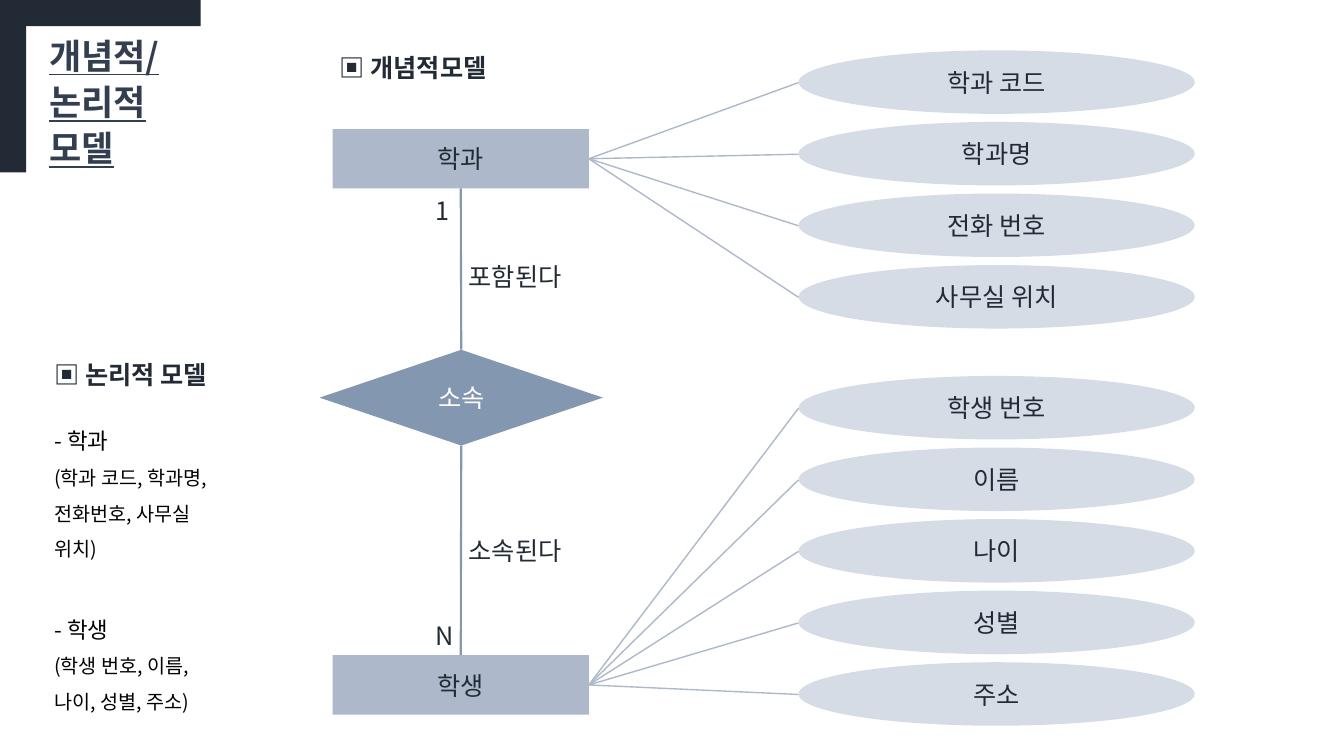
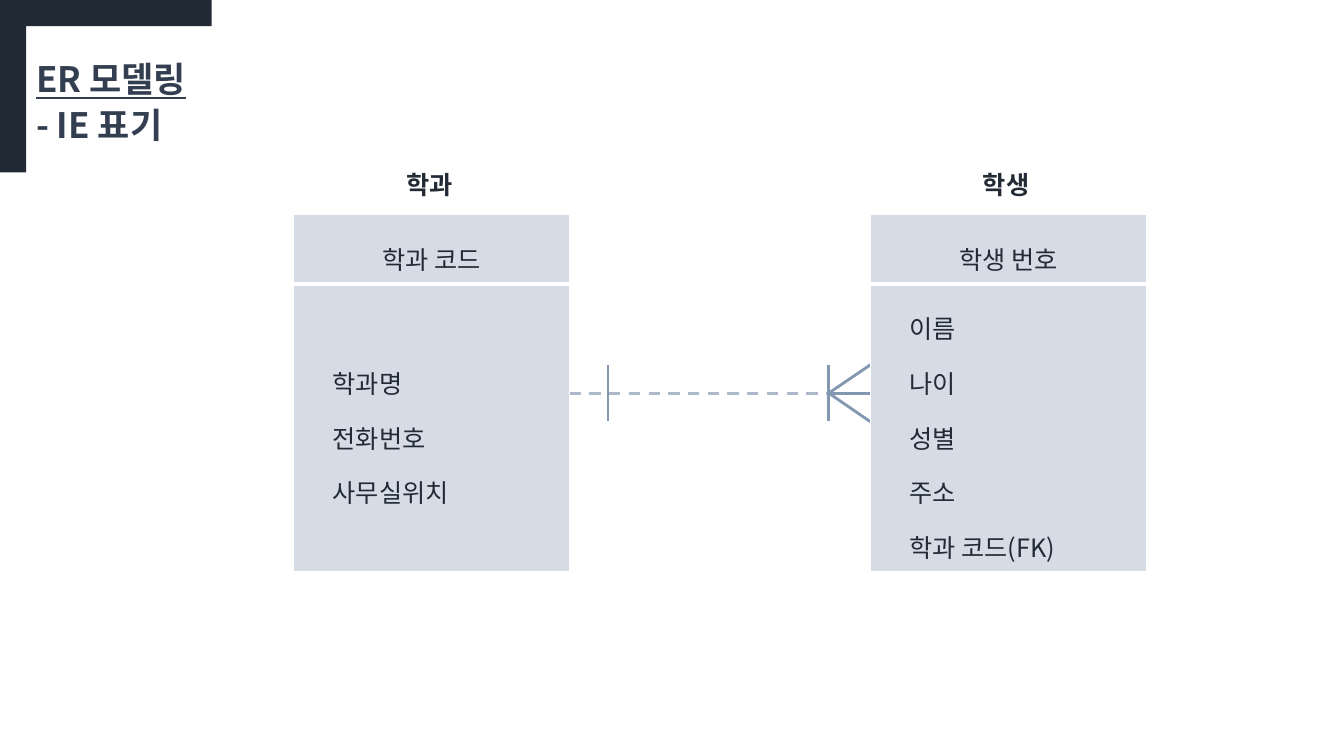
"""Build two slides on conceptual, logical and ER modelling of departments and students."""
from lxml.etree import SubElement
from pptx import Presentation
from pptx.dml.color import RGBColor
from pptx.enum.dml import MSO_LINE
from pptx.enum.shapes import MSO_CONNECTOR, MSO_SHAPE
from pptx.enum.text import MSO_ANCHOR, MSO_AUTO_SIZE, PP_ALIGN
from pptx.oxml import parse_xml
from pptx.oxml.ns import nsdecls, qn
from pptx.util import Inches, Pt

FONT = "Noto Sans CJK KR"
INK, TITLE_INK, BLACK, WHITE = "222A35", "333F50", "000000", "FFFFFF"
STEEL, MIST, PALE = "8497B0", "ADB9CA", "D6DCE5"

MODEL_TITLE = ["개념적/", "논리적", "모델"]
ER_TITLE = ["ER 모델링", ("- IE 표기", {"underline": False})]
HEADINGS = [("▣ 개념적모델", 3.27, 0.47, 1.81), ("▣ 논리적 모델", 0.44, 3.52, 1.9)]
ENTITIES = [
    ("학과", 1.28, 0.5, ["학과 코드", "학과명", "전화 번호", "사무실 위치"]),
    ("학생", 6.5, 3.73, ["학생 번호", "이름", "나이", "성별", "주소"]),
]
RELATION = "소속"
RELATION_LABELS = [
    ("포함된다", 4.55, 2.54, 1.21),
    ("소속된다", 4.55, 5.26, 1.21),
    ("1", 4.22, 1.89, 0.34),
    ("N", 4.22, 6.1, 0.39),
]
LOGICAL_MODEL = [
    ("- 학과", {"size": 16}),
    "(학과 코드, 학과명, 전화번호, 사무실 위치)",
    ("- 학생", {"size": 16, "before": 30}),
    "(학생 번호, 이름, 나이, 성별, 주소)",
]
ER_TABLES = [
    ("학과", 2.91, 3.93, "학과 코드", ["학과명", "전화번호", "사무실위치"]),
    ("학생", 8.63, 9.65, "학생 번호", ["이름", "나이", "성별", "주소", "학과 코드(FK)"]),
]
TABLE_TOP, TABLE_WIDTH, ROW_HEIGHTS = 2.13, 2.74, (0.69, 2.85)
LINK_Y, TICK_HALF = 3.9, 0.28
ONE_X, MANY_X = 6.03, 8.22
CROW_TOES = [(8.72, 3.56), (8.76, LINK_Y), (8.7, 4.23)]


def rgb(color):
    return RGBColor.from_string(color)


def write(frame, lines, size=18, color=INK, bold=False, underline=False,
          align=PP_ALIGN.LEFT, spacing=1.0, before=0):
    for index, line in enumerate(lines):
        text, changes = line if isinstance(line, tuple) else (line, {})
        style = {"size": size, "underline": underline, "before": before, **changes}
        paragraph = frame.paragraphs[0] if index == 0 else frame.add_paragraph()
        paragraph.alignment = align
        paragraph.line_spacing = spacing
        paragraph.space_before = Pt(style["before"])
        run = paragraph.add_run()
        run.text = text
        run.font.name = FONT
        run.font.size = Pt(style["size"])
        run.font.bold = bold
        run.font.underline = style["underline"]
        run.font.color.rgb = rgb(color)
        SubElement(run._r.get_or_add_rPr(), qn("a:ea"), typeface=FONT)


def add_text(slide, lines, left, top, width, height=0.4, wrap=False, grow=True,
             anchor=MSO_ANCHOR.TOP, **style):
    frame = slide.shapes.add_textbox(*map(Inches, (left, top, width, height))).text_frame
    frame.word_wrap = wrap
    frame.auto_size = MSO_AUTO_SIZE.SHAPE_TO_FIT_TEXT if grow else MSO_AUTO_SIZE.NONE
    frame.vertical_anchor = anchor
    write(frame, lines, **style)


def add_block(slide, preset, left, top, width, height, fill, text=None, color=INK):
    block = slide.shapes.add_shape(preset, *map(Inches, (left, top, width, height)))
    block.shadow.inherit = False
    block.fill.solid()
    block.fill.fore_color.rgb = rgb(fill)
    block.line.fill.background()
    if text:
        block.text_frame.vertical_anchor = MSO_ANCHOR.MIDDLE
        write(block.text_frame, [text], color=color, align=PP_ALIGN.CENTER)
    return block


def add_line(shapes, start, end, color, width, dash=None):
    line = shapes.add_connector(MSO_CONNECTOR.STRAIGHT, *map(Inches, (*start, *end)))
    line.line.color.rgb = rgb(color)
    line.line.width = Pt(width)
    if dash:
        line.line.dash_style = dash
    SubElement(line._element.spPr, qn("a:effectLst"))
    return line


def add_titled_slide(deck, title, left, band_width):
    slide = deck.slides.add_slide(deck.slide_layouts[6])
    add_text(slide, title, left, 0.26, 1.99, 1.45, wrap=True, grow=False,
             anchor=MSO_ANCHOR.MIDDLE, size=25, color=TITLE_INK, bold=True,
             underline=True, spacing=1.1)
    add_block(slide, MSO_SHAPE.RECTANGLE, 0, 0, 0.26, 1.71, INK)
    add_block(slide, MSO_SHAPE.RECTANGLE, 0.14, 0, band_width, 0.26, INK)
    return slide


def style_cell(cell, borders):
    cell.vertical_anchor = MSO_ANCHOR.MIDDLE
    cell.fill.solid()
    cell.fill.fore_color.rgb = rgb(PALE)
    properties = cell._tc.get_or_add_tcPr()
    for index, (side, width) in enumerate(zip("LRTB", borders)):
        properties.insert(index, parse_xml(
            f'<a:ln{side} {nsdecls("a")} w="{Pt(width)}"><a:solidFill>'
            f'<a:srgbClr val="{WHITE}"/></a:solidFill></a:ln{side}>'))


def add_entity_table(slide, left, key, attributes):
    table = slide.shapes.add_table(
        2, 1, *map(Inches, (left, TABLE_TOP, TABLE_WIDTH, sum(ROW_HEIGHTS)))).table
    table.first_row = table.horz_banding = False
    for row, height in zip(table.rows, ROW_HEIGHTS):
        row.height = Inches(height)
    key_cell, attribute_cell = table.cell(0, 0), table.cell(1, 0)
    style_cell(key_cell, (1, 1, 1, 3))
    style_cell(attribute_cell, (1, 1, 3, 1))
    attribute_cell.margin_left = Inches(0.39)
    write(key_cell.text_frame, [key], align=PP_ALIGN.CENTER, spacing=1.5)
    write(attribute_cell.text_frame, attributes, spacing=1.5)


def build_models(deck):
    slide = add_titled_slide(deck, MODEL_TITLE, 0.39, 1.85)
    relation = add_block(slide, MSO_SHAPE.DIAMOND, 3.17, 3.47, 2.81, 0.95,
                         STEEL, RELATION, WHITE)
    for (name, top, first_top, attributes), site in zip(ENTITIES, (0, 2)):
        entity = add_block(slide, MSO_SHAPE.RECTANGLE, 3.3, top, 2.54, 0.59, MIST, name)
        link = add_line(slide.shapes, (4.58, 3.47), (4.58, top), STEEL, 1.5)
        link.begin_connect(relation, site)
        link.end_connect(entity, 2 - site)
        for index, attribute in enumerate(attributes):
            oval_top = first_top + 0.71 * index
            add_block(slide, MSO_SHAPE.OVAL, 7.92, oval_top, 3.93, 0.63, PALE, attribute)
            spoke = add_line(slide.shapes, (5.85, top + 0.29), (7.92, oval_top + 0.32),
                             MIST, 1)
            spoke.begin_connect(entity, 3)
    for text, left, top, width in RELATION_LABELS:
        add_text(slide, [text], left, top, width)
    for text, left, top, width in HEADINGS:
        add_text(slide, [text], left, top, width, bold=True)
    add_text(slide, LOGICAL_MODEL, 0.44, 4.06, 1.83, 3.03, wrap=True,
             size=14, color=BLACK, spacing=1.5)


def build_er(deck):
    slide = add_titled_slide(deck, ER_TITLE, 0.26, 1.96)
    add_line(slide.shapes, (5.65, LINK_Y), (8.63, LINK_Y), MIST, 2, MSO_LINE.DASH)
    crow_foot = slide.shapes.add_group_shape()
    for toe in CROW_TOES:
        add_line(crow_foot.shapes, (MANY_X, LINK_Y), toe, STEEL, 2)
    for x in (ONE_X, MANY_X):
        add_line(slide.shapes, (x, LINK_Y - TICK_HALF), (x, LINK_Y + TICK_HALF), STEEL, 2)
    for name, left, name_left, key, attributes in ER_TABLES:
        add_entity_table(slide, left, key, attributes)
        add_text(slide, [name], name_left, 1.63, 0.71, bold=True)


deck = Presentation()
deck.slide_width, deck.slide_height = Inches(13.33), Inches(7.5)
build_models(deck)
build_er(deck)
deck.save("out.pptx")
